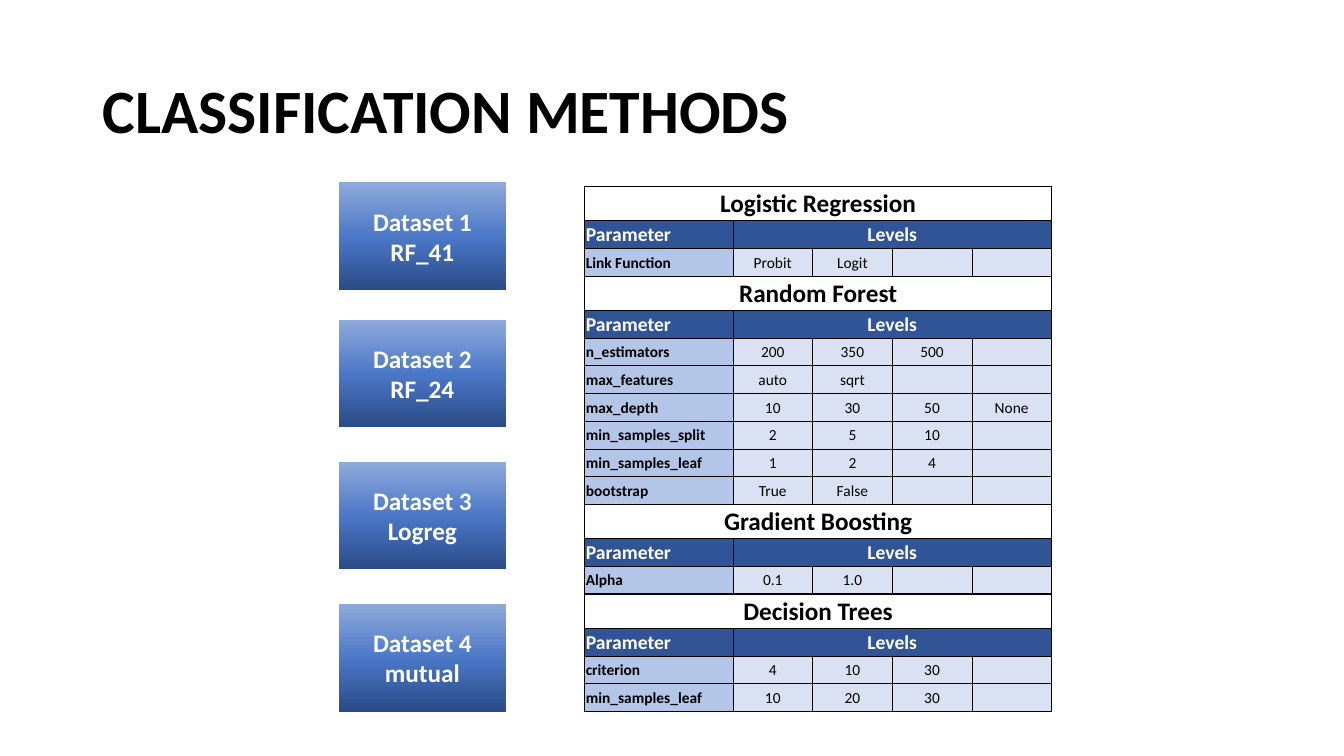
from dataclasses import dataclass
from copy import deepcopy

from lxml.etree import SubElement
from pptx import Presentation
from pptx.dml.color import RGBColor
from pptx.enum.shapes import MSO_SHAPE
from pptx.enum.text import MSO_ANCHOR, MSO_AUTO_SIZE, PP_ALIGN
from pptx.oxml.ns import qn
from pptx.slide import Slide
from pptx.table import _Cell as Cell
from pptx.util import Inches, Pt

BLACK = RGBColor(0x00, 0x00, 0x00)
WHITE = RGBColor(0xFF, 0xFF, 0xFF)
HEADER_BLUE = RGBColor(0x30, 0x54, 0x96)
NAME_BLUE = RGBColor(0xB4, 0xC6, 0xE7)
LEVEL_BLUE = RGBColor(0xD9, 0xE1, 0xF2)
BOX_GRADIENT = (
    (0, RGBColor(0x2A, 0x4B, 0x86)),
    (0.48, RGBColor(0x4A, 0x76, 0xC6)),
    (1, RGBColor(0x8F, 0xAA, 0xDC)),
)
FONT = "Calibri"
LEVEL_COUNT = 4
TABLE_HEIGHT = 5.21
METHOD_ROW_HEIGHT = 0.34
COLUMN_WIDTHS = [1.47] + [0.79] * LEVEL_COUNT


@dataclass(frozen=True)
class Dataset:
    name: str
    source: str
    top: float


@dataclass(frozen=True)
class Method:
    name: str
    parameters: dict[str, list[str]]


@dataclass(frozen=True)
class CellStyle:
    fill: RGBColor
    color: RGBColor
    size: int
    bold: bool
    alignment: PP_ALIGN


METHOD_STYLE = CellStyle(WHITE, BLACK, 18, True, PP_ALIGN.CENTER)
PARAMETER_STYLE = CellStyle(HEADER_BLUE, WHITE, 14, True, PP_ALIGN.LEFT)
LEVELS_STYLE = CellStyle(HEADER_BLUE, WHITE, 14, True, PP_ALIGN.CENTER)
NAME_STYLE = CellStyle(NAME_BLUE, BLACK, 11, True, PP_ALIGN.LEFT)
VALUE_STYLE = CellStyle(LEVEL_BLUE, BLACK, 11, False, PP_ALIGN.CENTER)

DATASETS = [
    Dataset("Dataset 1", "RF_41", 1.81),
    Dataset("Dataset 2", "RF_24", 3.17),
    Dataset("Dataset 3", "Logreg", 4.58),
    Dataset("Dataset 4", "mutual", 5.99),
]
METHODS = [
    Method("Logistic Regression", {"Link Function": ["Probit", "Logit"]}),
    Method("Random Forest", {
        "n_estimators": ["200", "350", "500"],
        "max_features": ["auto", "sqrt"],
        "max_depth": ["10", "30", "50", "None"],
        "min_samples_split": ["2", "5", "10"],
        "min_samples_leaf": ["1", "2", "4"],
        "bootstrap": ["True", "False"],
    }),
    Method("Gradient Boosting", {"Alpha": ["0.1", "1.0"]}),
    Method("Decision Trees", {
        "criterion": ["4", "10", "30"],
        "min_samples_leaf": ["10", "20", "30"],
    }),
]


def set_attributes(target: object, values: dict[str, object]) -> None:
    for name, value in values.items():
        setattr(target, name, value)


def set_font(font: object, size: int, color: RGBColor, bold: bool = True) -> None:
    set_attributes(font, {"name": FONT, "size": Pt(size), "bold": bold})
    font.color.rgb = color


def add_title(slide: Slide) -> None:
    title = slide.shapes.title
    set_attributes(title, {
        "left": Inches(0.92), "top": Inches(0.4),
        "width": Inches(11.5), "height": Inches(1.45),
    })
    frame = title.text_frame
    set_attributes(frame, {
        "text": "CLASSIFICATION METHODS", "word_wrap": True,
        "auto_size": MSO_AUTO_SIZE.NONE, "vertical_anchor": MSO_ANCHOR.MIDDLE,
    })
    para = frame.paragraphs[0]
    set_attributes(para, {"alignment": PP_ALIGN.LEFT, "line_spacing": 0.9})
    set_font(para.runs[0].font, 44, BLACK)


def add_dataset(slide: Slide, dataset: Dataset) -> None:
    box = slide.shapes.add_shape(
        MSO_SHAPE.RECTANGLE, Inches(3.36), Inches(dataset.top), Inches(1.66), Inches(1.07))
    box.shadow.inherit = False
    box.line.fill.background()
    box.fill.gradient()
    box.fill.gradient_angle = 90
    stop_list = box._element.spPr.find(qn("a:gradFill")).find(qn("a:gsLst"))
    stop_list.append(deepcopy(stop_list[-1]))
    for stop, (position, color) in zip(box.fill.gradient_stops, BOX_GRADIENT):
        stop.position = position
        stop.color.rgb = color
    frame = box.text_frame
    set_attributes(frame, {
        "text": f"{dataset.name}\n{dataset.source}", "word_wrap": True,
        "vertical_anchor": MSO_ANCHOR.MIDDLE,
    })
    for para in frame.paragraphs:
        para.alignment = PP_ALIGN.CENTER
        set_font(para.runs[0].font, 18, WHITE)


def set_borders(cell: Cell, thick_sides: str) -> None:
    """Draw all four sides in black; those in thick_sides (of L, R, T, B) at 1 pt."""
    properties = cell._tc.get_or_add_tcPr()
    for side in "LRTB":
        width = Pt(1 if side in thick_sides else 0.5)
        line = SubElement(properties, qn(f"a:ln{side}"), w=str(width))
        fill = SubElement(line, qn("a:solidFill"))
        SubElement(fill, qn("a:srgbClr"), val=str(BLACK))


def fill_cell(cell: Cell, text: str, style: CellStyle) -> None:
    set_attributes(cell, {
        "margin_left": Inches(0.01), "margin_right": Inches(0.01),
        "margin_top": Inches(0.01), "margin_bottom": 0,
        "vertical_anchor": MSO_ANCHOR.MIDDLE,
    })
    cell.fill.solid()
    cell.fill.fore_color.rgb = style.fill
    para = cell.text_frame.paragraphs[0]
    para.alignment = style.alignment
    if text:
        span = para.add_run()
        span.text = text
        set_font(span.font, style.size, style.color, style.bold)
    else:
        SubElement(para._p, qn("a:endParaRPr"), sz=str(style.size * 100))


def add_methods_table(slide: Slide) -> None:
    row_count = sum(2 + len(method.parameters) for method in METHODS)
    table = slide.shapes.add_table(
        row_count, len(COLUMN_WIDTHS), Inches(5.8), Inches(1.85),
        Inches(sum(COLUMN_WIDTHS)), Inches(TABLE_HEIGHT)).table
    set_attributes(table, {"first_row": False, "horz_banding": False})
    for column, width in zip(table.columns, COLUMN_WIDTHS):
        column.width = Inches(width)
    method_heights = METHOD_ROW_HEIGHT * len(METHODS)
    row_height = (TABLE_HEIGHT - method_heights) / (row_count - len(METHODS))

    row = 0
    for method in METHODS:
        rows = [([method.name], [METHOD_STYLE]),
                (["Parameter", "Levels"], [PARAMETER_STYLE, LEVELS_STYLE])]
        rows += [([name, *levels], [NAME_STYLE, VALUE_STYLE])
                 for name, levels in method.parameters.items()]
        for index, (texts, styles) in enumerate(rows):
            height = METHOD_ROW_HEIGHT if index == 0 else row_height
            table.rows[row].height = Inches(height)
            edges = ("T" if index == 0 else "") + ("B" if index == len(rows) - 1 else "")
            for column in range(LEVEL_COUNT + 1):
                cell = table.cell(row, column)
                sides = {0: "L", LEVEL_COUNT: "R"}.get(column, "")
                set_borders(cell, edges + sides)
                text = texts[column] if column < len(texts) else ""
                fill_cell(cell, text, styles[min(column, len(styles) - 1)])
            if index < 2:
                table.cell(row, index).merge(table.cell(row, LEVEL_COUNT))
            row += 1


def main() -> None:
    deck = Presentation()
    set_attributes(deck, {"slide_width": Inches(13.33), "slide_height": Inches(7.5)})
    page = deck.slides.add_slide(deck.slide_layouts[5])
    add_title(page)
    for dataset in DATASETS:
        add_dataset(page, dataset)
    add_methods_table(page)
    deck.save("out.pptx")


if __name__ == "__main__":
    main()
